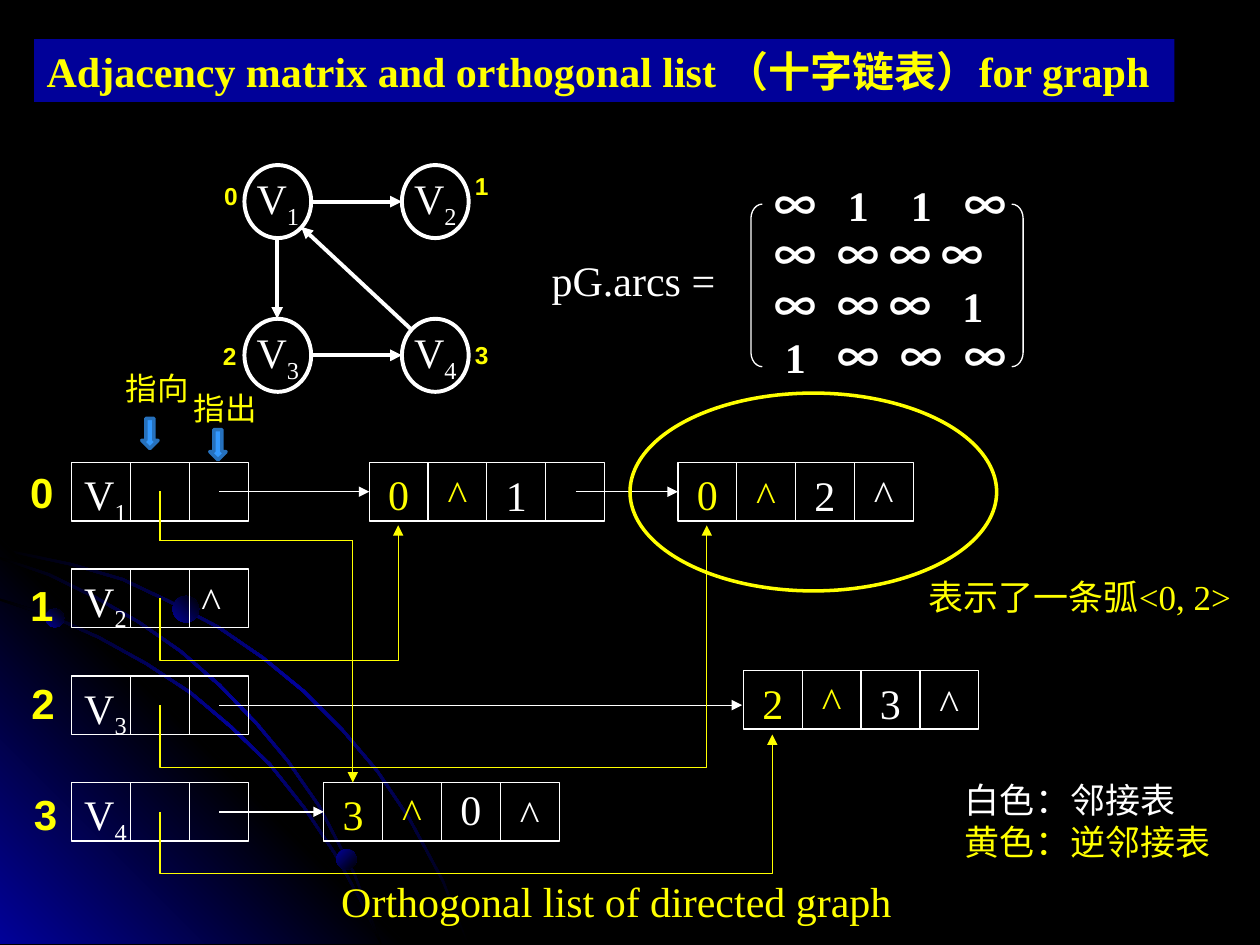
import pptx
import pptx.dml.color
import pptx.enum.shapes
import pptx.enum.text
import pptx.oxml
import pptx.oxml.ns
import pptx.util
from lxml import etree

SHAPE = pptx.enum.shapes.MSO_SHAPE
CONNECTOR = pptx.enum.shapes.MSO_CONNECTOR
ALIGN = pptx.enum.text.PP_ALIGN
ANCHOR = pptx.enum.text.MSO_ANCHOR
qn = pptx.oxml.ns.qn
COLORS = {"black": "000000", "navy": "010199", "white": "FFFFFF",
          "yellow": "FFFF00", "sky": "3399FF", "steel": "2671BD"}
SERIF, SANS, CJK = "Times New Roman", "Arial", "Noto Sans CJK SC"
COLUMNS, ROWS = 100, 75
CELL, HEIGHT = 4.67, 4.65
GLOW = ["black", "navy", "black"]


class Board:
    """Draws styled elements on a slide with a grid of 100 columns by 75 rows."""

    def __init__(self, deck):
        self.deck = deck
        self.page = deck.slides.add_slide(deck.slide_layouts[5])
        self.page.background.fill.solid()
        self.page.background.fill.fore_color.rgb = self.color("black")

    def color(self, name):
        return pptx.dml.color.RGBColor.from_string(COLORS[name])

    def place(self, *lengths):
        units = self.deck.slide_width / COLUMNS, self.deck.slide_height / ROWS
        return [round(value * units[i % 2]) for i, value in enumerate(lengths)]

    def paint(self, shape, fill=None, line=None, width=0.75):
        shape.shadow.inherit = False
        if fill:
            shape.fill.solid()
            shape.fill.fore_color.rgb = self.color(fill)
        else:
            shape.fill.background()
        if line:
            shape.line.color.rgb = self.color(line)
            shape.line.width = pptx.util.Pt(width)
        else:
            shape.line.fill.background()
        return shape

    def shape(self, kind, at, **style):
        return self.paint(self.page.shapes.add_shape(kind, *self.place(*at)), **style)

    def gradient(self, shape, names, angle):
        self.paint(shape)
        grad = pptx.oxml.parse_xml(f'<a:gradFill {pptx.oxml.ns.nsdecls("a")}/>')
        stops = etree.SubElement(grad, qn("a:gsLst"))
        for i, name in enumerate(names):
            stop = etree.SubElement(stops, qn("a:gs"), pos=str(100000 * i // (len(names) - 1)))
            etree.SubElement(stop, qn("a:srgbClr"), val=COLORS[name])
        etree.SubElement(grad, qn("a:lin"), ang=str(angle * 60000), scaled="1")
        empty = shape._element.spPr.find(qn("a:noFill"))
        empty.getparent().replace(empty, grad)

    def polygon(self, points, names, angle):
        first, *rest = [self.place(*point) for point in points]
        builder = self.page.shapes.build_freeform(*first)
        builder.add_line_segments(rest)
        self.gradient(builder.convert_to_shape(), names, angle)

    def ribbon(self, edge):
        inner = [(max(x - 0.12, 0), min(y + 0.18, 74.9)) for x, y in reversed(edge)]
        self.polygon(edge + inner, GLOW, 45)

    def line(self, start, end, color="white", width=0.75, arrow=False, kind=CONNECTOR.STRAIGHT):
        link = self.page.shapes.add_connector(kind, *self.place(*start, *end))
        link.line.color.rgb = self.color(color)
        link.line.width = pptx.util.Pt(width)
        if arrow:
            etree.SubElement(link.line._get_or_add_ln(), qn("a:tailEnd"), type="triangle")
        etree.SubElement(link._element.spPr, qn("a:effectLst"))
        return link

    def loop(self, start, end, drop=2.6):
        (x1, y1), (x2, y2) = start, end
        x, y, half_x, half_y = (x1 + x2) / 2, (y1 + y2) / 2, (x2 - x1) / 2, (y1 - y2) / 2
        link = self.line((x + half_y, y + half_x), (x - half_y, y - half_x),
                         "yellow", arrow=True, kind=CONNECTOR.ELBOW)
        properties = link._element.spPr
        properties.find(qn("a:xfrm")).set("rot", "5400000")
        geometry = properties.find(qn("a:prstGeom"))
        values = geometry.find(qn("a:avLst"))
        etree.SubElement(values, qn("a:gd"), name="adj1",
                         fmla=f"val {round(-100000 * drop / (y1 - y2))}")

    def font(self, para, size=24, color="white", face=SERIF, bold=False):
        para.font.size = pptx.util.Pt(size)
        para.font.name = face
        para.font.bold = bold
        para.font.color.rgb = self.color(color)

    def text(self, at, words, align=ALIGN.LEFT, wrap=False, **style):
        box = self.page.shapes.add_textbox(*self.place(*at))
        box.text_frame.word_wrap = wrap
        para = box.text_frame.paragraphs[0]
        para.text = words
        para.alignment = align
        self.font(para, **style)
        return box

    def vertex(self, frame, number):
        para = frame.paragraphs[0]
        para.add_run().text = "V"
        span = para.add_run()
        span.text = str(number)
        span.font._element.set("baseline", "-25000")
        self.font(para)

    def cells(self, left, top, count):
        self.shape(SHAPE.RECTANGLE, (left, top, CELL * count, HEIGHT), line="white")
        for i in range(1, count):
            x = left + CELL * i
            self.line((x, top), (x, top + HEIGHT))

    def arc(self, left, top, labels, shifts):
        self.cells(left, top, 4)
        for i, (label, shift) in enumerate(zip(labels, shifts)):
            self.text((left + CELL * i, top + shift, CELL, 5), label, ALIGN.CENTER,
                      color="yellow" if i < 2 else "white")

    def matrix(self, at, rows):
        frame = self.page.shapes.add_textbox(*self.place(*at)).text_frame
        frame.word_wrap = False
        for i, (words, stops) in enumerate(rows):
            para = frame.add_paragraph() if i else frame.paragraphs[0]
            tabs = etree.SubElement(para._p.get_or_add_pPr(), qn("a:tabLst"))
            for stop in stops:
                etree.SubElement(tabs, qn("a:tab"), pos=str(self.place(stop)[0]), algn="l")
            for word in words.replace("\t", "|\t|").split("|"):
                span = para.add_run()
                span.text = word
                span.font.name = CJK if word == "∞" else SERIF
            self.font(para, bold=True)
            para.line_spacing = pptx.util.Pt(29)

    def title(self, at, words):
        title = self.page.shapes.title
        title.left, title.top, title.width, title.height = self.place(*at)
        title.fill.solid()
        title.fill.fore_color.rgb = self.color("navy")
        frame = title.text_frame
        frame.text = words
        frame.word_wrap = True
        frame.auto_size = pptx.enum.text.MSO_AUTO_SIZE.NONE
        frame.vertical_anchor = ANCHOR.TOP
        frame.paragraphs[0].alignment = ALIGN.LEFT
        self.font(frame.paragraphs[0], color="yellow", bold=True)


def draw_backdrop(board):
    """Draw the glowing corner with its orbits and planets."""
    board.ribbon([(0, 43.5), (5.7, 44.7), (9.8, 45.9), (13.6, 47.7), (17.4, 49.7), (20.9, 52.1),
                  (24.2, 54.8), (27.2, 57.8), (30, 61.1), (32.5, 64.8), (35.2, 69.8), (37.2, 74.9)])
    board.polygon([(32.2, 74.9), (0, 74.9), (0, 42.7)], ["navy", "black", "navy"], 315)
    board.ribbon([(0, 47.5), (4.1, 48.8), (7.9, 50.5), (11.7, 52.6), (15.2, 54.9), (18.4, 57.6),
                  (21.5, 60.6), (24.2, 64), (26.6, 67.6), (28.6, 71.2), (30.3, 74.9)])
    board.ribbon([(0, 44.2), (3.9, 45.5), (7.6, 47.3), (11.1, 49.3), (14.4, 51.6), (17.5, 54.3),
                  (20.4, 57.3), (22.9, 60.3), (25.4, 63.9), (28.2, 69.3), (30.3, 74.9)])
    for x, y, size, angle in [(3.6, 48.3, 1.5, 315), (26.7, 67.4, 1.6, 45), (13.7, 47.3, 2.1, 315)]:
        board.gradient(board.shape(SHAPE.OVAL, (x, y, size, size)), ["navy", "black"], angle)


def draw_lists(board):
    """Draw the vertex rows, the arc nodes and the links between them."""
    tops = [36.7 + 8.47 * i for i in range(4)]
    for i, (top, x, y) in enumerate(zip(tops, (1.4, 1.4, 1.5, 1.7), (36.5, 45.5, 53.3, 62.1))):
        board.cells(5.7, top, 3)
        board.vertex(board.text((5.7, top, 5.5, 5), "").text_frame, i + 1)
        board.text((x, y, 3.9, 5), str(i), face=SANS, color="yellow", bold=True)
    board.text((15, tops[1], 3.6, 5), "^")
    board.arc(29.3, tops[0], ["0", "^", "1"], [0, 0, 0.1])
    board.arc(53.8, tops[0], ["0", "^", "2", "^"], [0, 0.1, 0.1, 0])
    board.arc(59, 53.2, ["2", "^", "3", "^"], [0.1, -0.1, 0.1, 0.1])
    board.arc(25.7, tops[3], ["3", "^", "0", "^"], [0, -0.2, -0.4, 0])
    for start, end, row in [(17.4, 29.3, 0), (45.7, 53.8, 0), (17.4, 58.9, 2), (17.4, 25.7, 3)]:
        y = tops[row] + HEIGHT / 2
        board.line((start, y), (end, y), arrow=True)
    route = [(12.7, 39), (12.7, 42.9), (28, 42.9), (28, tops[3])]
    for i, (start, end) in enumerate(zip(route, route[1:])):
        board.line(start, end, "yellow", arrow=i == 2)
    for top, end in zip(tops[1:], [(31.6, 41.7), (56.1, 41.7), (61.3, 58.3)]):
        board.line((12.7, top + HEIGHT / 2), (12.7, top + HEIGHT), "yellow")
        board.loop((12.7, top + HEIGHT), end)


def draw_graph(board):
    """Draw the directed graph and its adjacency matrix."""
    spots = [(16.8, 13.9), (36.7, 13.1), (16.7, 26.6), (36.7, 26.5)]
    for i, spot in enumerate(spots):
        node = board.shape(SHAPE.OVAL, (19.4 + 12.5 * (i % 2), 13.1 + 12.2 * (i // 2), 5.3, 5.8),
                           line="white", width=2.25)
        node.text_frame.word_wrap = False
        node.text_frame.vertical_anchor = ANCHOR.MIDDLE
        node.text_frame.paragraphs[0].alignment = ALIGN.CENTER
        board.vertex(node.text_frame, i + 1)
        board.text((*spot, 3.1, 3.4), str(i), size=14, face=SANS, color="yellow", bold=True)
    for start, end in [((24.6, 16), (31.9, 16)), ((22, 18.9), (22, 25.3)),
                       ((24.6, 28.2), (31.9, 28.2)), ((32.7, 26.2), (23.9, 18))]:
        board.line(start, end, width=2.25, arrow=True)
    board.text((42.8, 19.7, 15, 5), "pG.arcs =")
    board.matrix((60.5, 13.7, 21.5, 17.2), [
        ("∞\t1\t1\t∞", (5.8, 10.8, 15.1)), ("∞\t∞\t∞\t∞", (5, 9.1, 13.2)),
        ("∞\t∞\t∞\t1", (5, 9.1, 14.9)), ("\t1\t∞\t∞\t∞", (0.8, 5, 10, 15.1))])
    for kind, left in [(SHAPE.LEFT_BRACKET, 59.6), (SHAPE.RIGHT_BRACKET, 80.3)]:
        board.shape(kind, (left, 16.2, 0.9, 12.9), line="white").adjustments[0] = 1.26


def main():
    """Build the slide and save it."""
    deck = pptx.Presentation()
    deck.slide_width, deck.slide_height = pptx.util.Inches(10), pptx.util.Inches(7.5)
    board = Board(deck)
    draw_backdrop(board)
    draw_lists(board)
    draw_graph(board)
    board.title((2.7, 3.1, 90.5, 5), "Adjacency matrix and orthogonal list （十字链表）for graph")
    board.text((26.1, 69, 46.1, 5), "Orthogonal list of directed graph", color="yellow")
    legend = board.text((75.6, 61.3, 22.5, 7.7), "白色：邻接表", wrap=True, size=20)
    para = legend.text_frame.add_paragraph()
    para.text = "黄色：逆邻接表"
    board.font(para, 20, "yellow")
    board.shape(SHAPE.OVAL, (50, 31.2, 29.1, 15.7), line="yellow", width=2)
    board.text((72.7, 45.2, 27.1, 4.4), "表示了一条弧<0, 2>", wrap=True, size=20, color="yellow")
    for words, x, y, tip in [("指向", 9, 28.8, 33.2), ("指出", 14.4, 30.4, 34.1)]:
        board.text((x, y, 8.3, 4), words, wrap=True, size=18, color="yellow")
        board.shape(SHAPE.DOWN_ARROW, (x + 2.25, tip, 1.3, 2.4), fill="sky", line="steel", width=2)
    deck.save("out.pptx")


if __name__ == "__main__":
    main()
